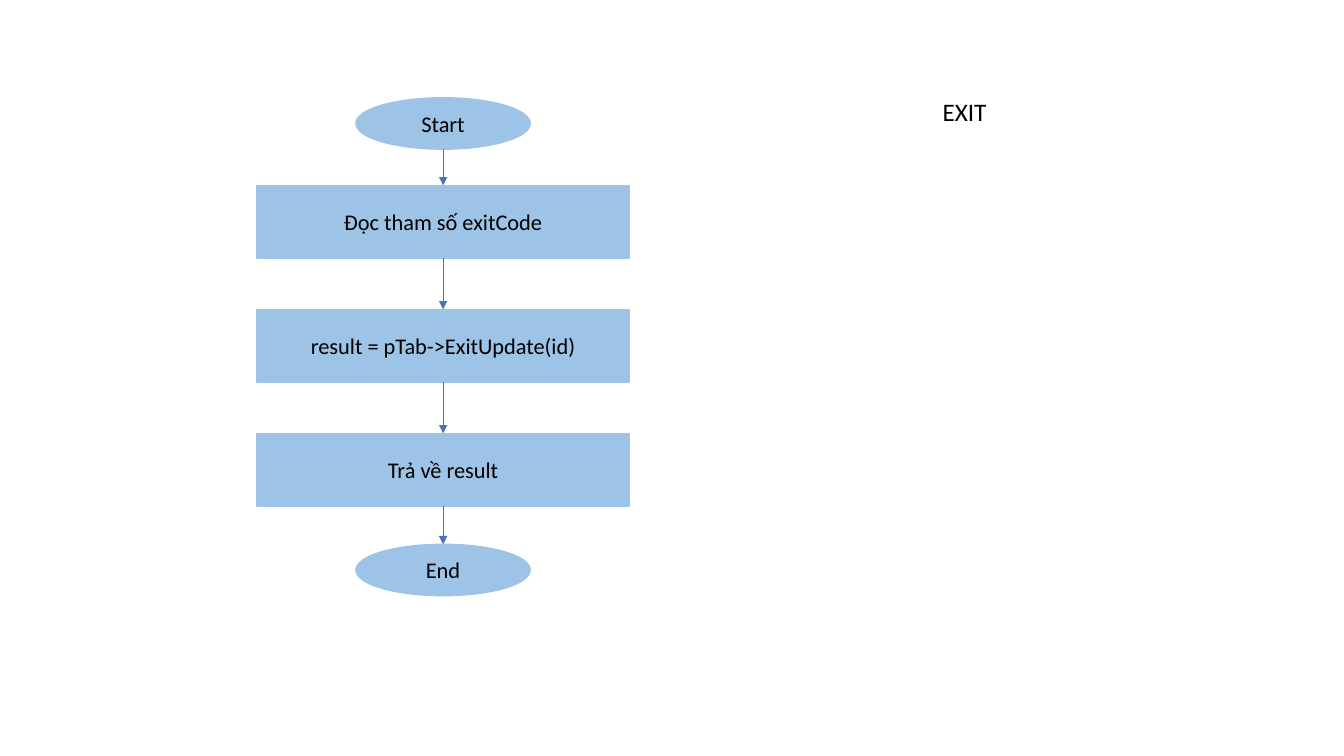
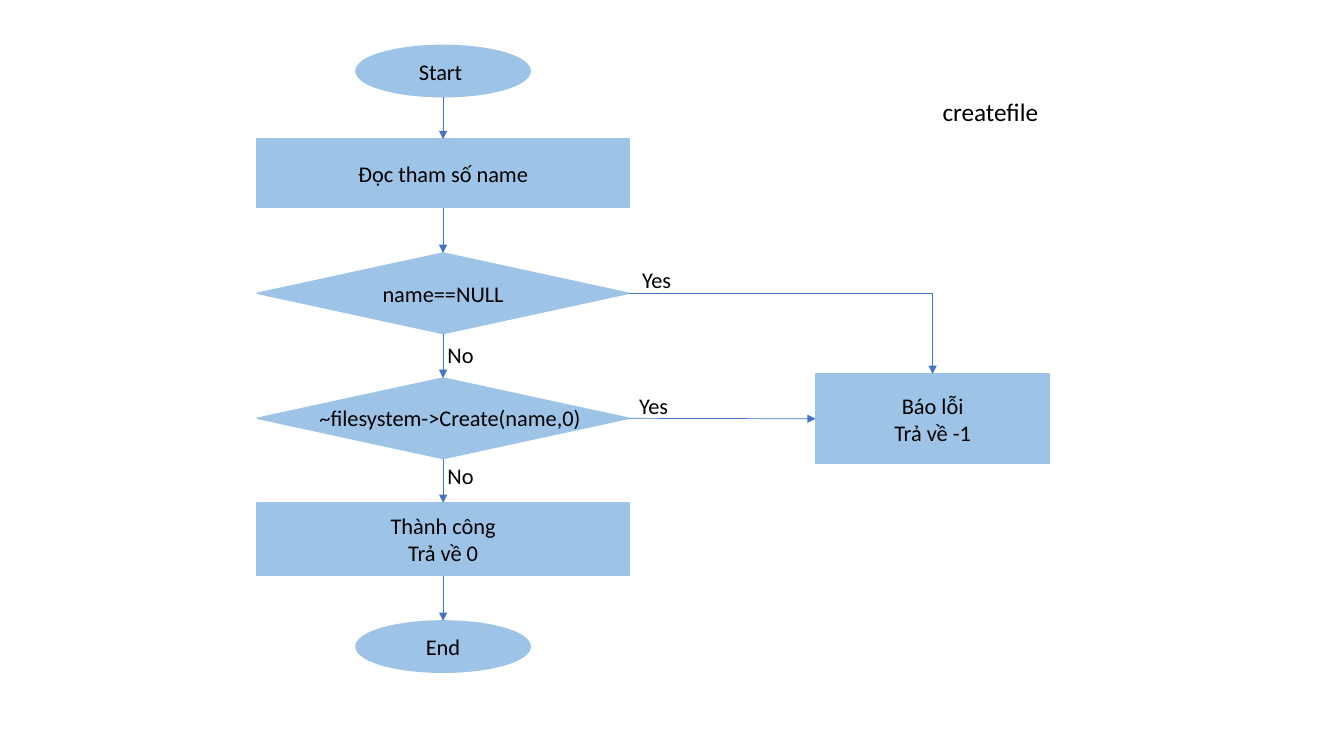
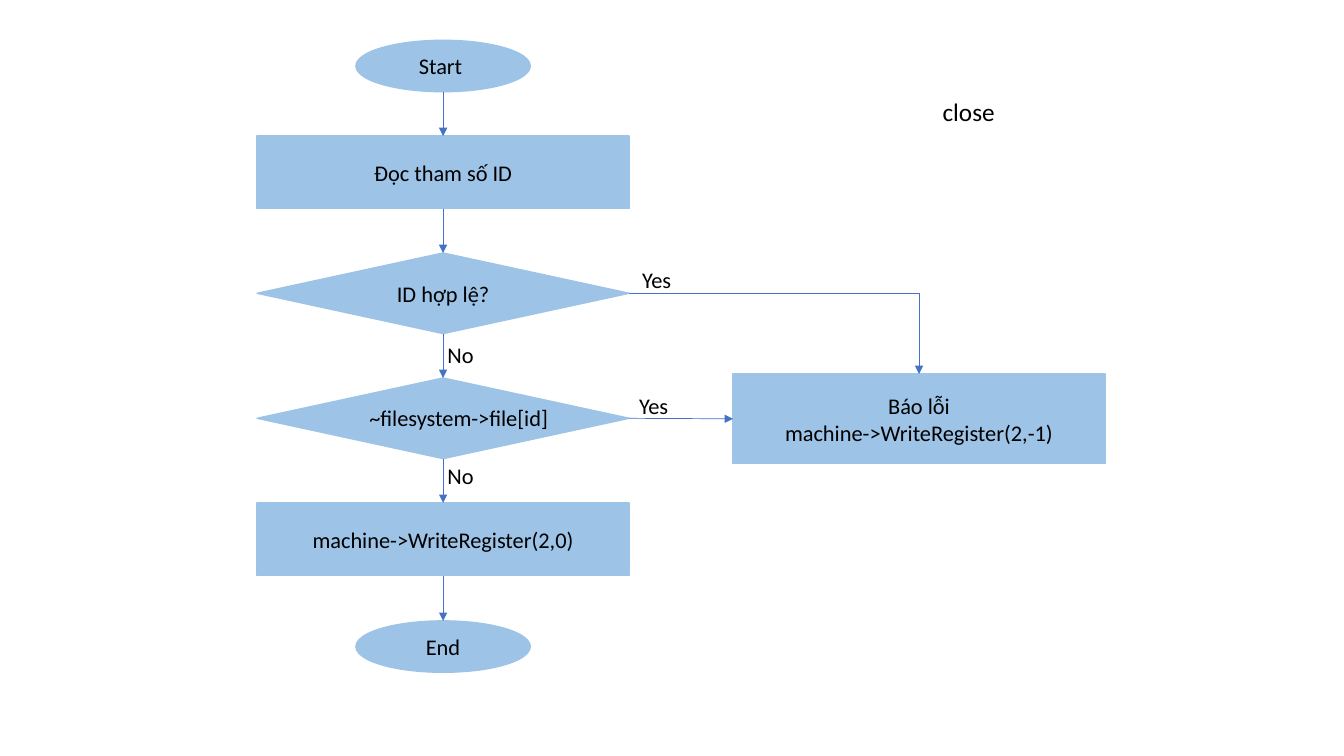
from dataclasses import dataclass
from itertools import pairwise
from typing import Optional

from pptx import Presentation
from pptx.dml.color import RGBColor
from pptx.enum.shapes import MSO_CONNECTOR, MSO_SHAPE
from pptx.enum.text import MSO_ANCHOR, MSO_AUTO_SIZE, PP_ALIGN
from pptx.oxml.ns import qn
from pptx.util import Pt

# Shared style
PX = 9144  # EMU, 100 px to the inch
BLUE = RGBColor(0x9D, 0xC3, 0xE6)
EDGE = RGBColor(0x44, 0x72, 0xC4)
BLACK = RGBColor(0, 0, 0)
FONT = "Calibri"
RECT, OVAL, DIAMOND = MSO_SHAPE.RECTANGLE, MSO_SHAPE.OVAL, MSO_SHAPE.DIAMOND
STRAIGHT, ELBOW = MSO_CONNECTOR.STRAIGHT, MSO_CONNECTOR.ELBOW
LEFT, CENTER = PP_ALIGN.LEFT, PP_ALIGN.CENTER
TOP, MIDDLE = MSO_ANCHOR.TOP, MSO_ANCHOR.MIDDLE
GROW = MSO_AUTO_SIZE.SHAPE_TO_FIT_TEXT
UP, WEST, DOWN, EAST = range(4)  # connection sites

# Flow column: left and width of each kind
SPAN = {RECT: (255, 369), DIAMOND: (255, 369), OVAL: (353, 173)}
OVAL_H, BOX_H, TEST_H = 51, 72, 80


@dataclass
class Step:
    kind: MSO_SHAPE
    top: int
    high: int
    text: str = ""


@dataclass
class Label:
    text: str
    left: int
    top: int
    wide: int
    high: int = 37


@dataclass
class Error:
    left: int
    wide: int
    text: str


@dataclass
class Flow:
    title: Label
    steps: list[Step]
    error: Optional[Error] = None
    test: str = ""
    align: PP_ALIGN = LEFT


def write(shape, text: str, size: int = 16, align: PP_ALIGN = CENTER,
          anchor: MSO_ANCHOR = MIDDLE, wrap: bool = True) -> None:
    frame = shape.text_frame
    frame.word_wrap = wrap
    frame.vertical_anchor = anchor
    frame.text = text
    for par in frame.paragraphs:
        par.alignment = align
        par.font.size = Pt(size)
        for run in par.runs:
            run.font.name = FONT
            run.font.size = Pt(size)
            run.font.color.rgb = BLACK


def add_node(slide, kind: MSO_SHAPE, left: int, top: int, wide: int,
             high: int, text: str):
    node = slide.shapes.add_shape(kind, left * PX, top * PX, wide * PX, high * PX)
    node.shadow.inherit = False
    node.fill.solid()
    node.fill.fore_color.rgb = BLUE
    node.line.color.rgb = BLUE
    node.line.width = Pt(1)
    if text:
        write(node, text)
    return node


def add_label(slide, item: Label, size: int = 16, align: PP_ALIGN = LEFT,
              wrap: bool = False) -> None:
    box = slide.shapes.add_textbox(item.left * PX, item.top * PX,
                                   item.wide * PX, item.high * PX)
    write(box, item.text, size=size, align=align, anchor=TOP, wrap=wrap)
    box.text_frame.auto_size = GROW


def side(node, site: int) -> tuple[int, int]:
    x = {WEST: 0, EAST: node.width}.get(site, node.width // 2)
    y = {UP: 0, DOWN: node.height}.get(site, node.height // 2)
    return node.left + x, node.top + y


def join(slide, tail, out: int, head, into: int, kind=STRAIGHT) -> None:
    line = slide.shapes.add_connector(kind, *side(tail, out), *side(head, into))
    # Ovals number their sites differently, so only their top is joined
    if tail.auto_shape_type != OVAL:
        line.begin_connect(tail, out)
    line.end_connect(head, into)
    line.line.color.rgb = EDGE
    line.line.width = Pt(0.5)
    props = line._element.spPr
    if kind == ELBOW:
        props.find(qn("a:prstGeom")).set("prst", "bentConnector2")
    arrow = props.find(qn("a:ln"))
    arrow.append(arrow.makeelement(qn("a:tailEnd"), {"type": "triangle"}))
    props.append(props.makeelement(qn("a:effectLst"), {}))


def draw(slide, flow: Flow) -> None:
    # Main column
    nodes = []
    for step in flow.steps:
        left, wide = SPAN[step.kind]
        nodes.append(add_node(slide, step.kind, left, step.top, wide,
                              step.high, step.text))
    for tail, head in pairwise(nodes):
        join(slide, tail, DOWN, head, UP)
    add_label(slide, flow.title, size=18)

    # Error branch
    if flow.error:
        fail = flow.error
        box = add_node(slide, RECT, fail.left, 371, fail.wide, 89, fail.text)
        first, second = (n for n in nodes if n.auto_shape_type == DIAMOND)
        join(slide, first, EAST, box, UP, kind=ELBOW)
        join(slide, second, EAST, box, WEST)
        add_label(slide, Label(flow.test, 307, 396, 296, 67),
                  align=flow.align, wrap=True)
        for item in MARKS:
            add_label(slide, item)


def title(text: str, wide: int) -> Label:
    return Label(text, 925, 91, wide, 40)


def branch(start: int, read: Step, check: str, done: str) -> list[Step]:
    return [
        Step(OVAL, start, OVAL_H, "Start "),
        read,
        Step(DIAMOND, 251, TEST_H, check),
        Step(DIAMOND, 375, TEST_H),
        Step(RECT, 499, BOX_H, done),
        Step(OVAL, 616, OVAL_H, "End"),
    ]


# Content
MARKS = [
    Label("Yes", 627, 259, 50),
    Label("Yes", 624, 384, 50),
    Label("No", 434, 334, 47),
    Label("No", 434, 454, 47),
]
TASKS = ["Đọc tham số exitCode", "result = pTab->ExitUpdate(id)", "Trả về result"]
FLOWS = [
    Flow(
        title("EXIT", 64),
        [Step(OVAL, 97, OVAL_H, "Start")]
        + [Step(RECT, 184 + 123 * i, BOX_H, task) for i, task in enumerate(TASKS)]
        + [Step(OVAL, 540, OVAL_H, "End")],
    ),
    Flow(
        title("createfile", 116),
        branch(45, Step(RECT, 138, 68, "Đọc tham số name"),
               "name==NULL", "Thành công\nTrả về 0"),
        Error(809, 232, "Báo lỗi\nTrả về -1"),
        "~filesystem->Create(name,0)",
    ),
    Flow(
        title("close", 72),
        branch(40, Step(RECT, 135, BOX_H, "Đọc tham số ID"),
               "ID hợp lệ?", "machine->WriteRegister(2,0)"),
        Error(727, 369, "Báo lỗi\nmachine->WriteRegister(2,-1)"),
        "~filesystem->file[id]",
        CENTER,
    ),
]


def main() -> None:
    deck = Presentation()
    deck.slide_width, deck.slide_height = 1333 * PX, 750 * PX
    for flow in FLOWS:
        draw(deck.slides.add_slide(deck.slide_layouts[6]), flow)
    deck.save("out.pptx")


if __name__ == "__main__":
    main()
